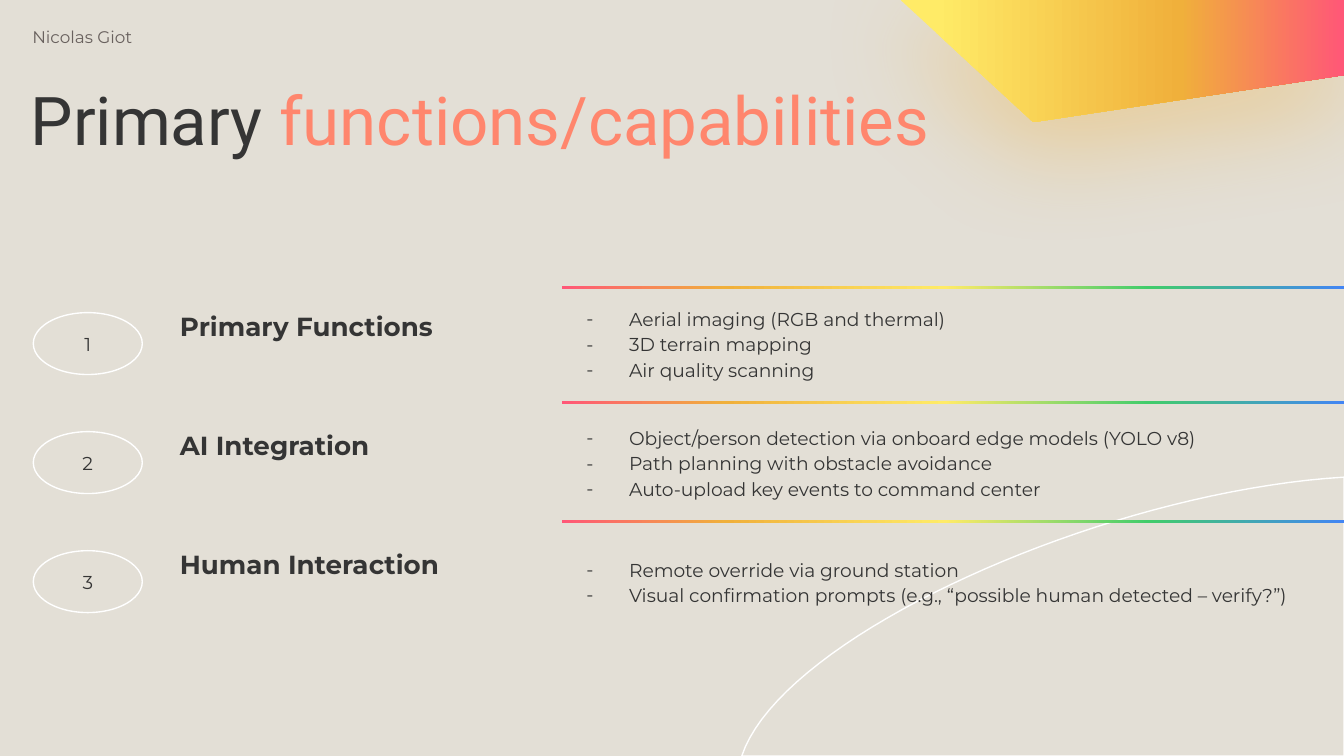
from dataclasses import dataclass
from lxml.etree import SubElement
from pptx import Presentation
from pptx.dml.color import RGBColor
from pptx.enum.shapes import MSO_SHAPE
from pptx.enum.text import MSO_ANCHOR, MSO_AUTO_SIZE, PP_ALIGN
from pptx.oxml.ns import qn
from pptx.util import Cm, Pt


@dataclass(frozen=True)
class Theme:
    paper: str = "E3DFD6"
    ink: str = "353535"
    muted: str = "69615E"
    accent: str = "FF866D"
    white: str = "FFFFFF"
    glow: str = "F0B03B"
    rainbow: tuple = ((0, "FF5777"), (21, "F0B03B"), (49, "FFEB67"),
                      (75, "41CC6B"), (100, "4285F4"))
    sunset: tuple = ((0, "FFEB67"), (8, "FFEB67"), (63, "F0B03B"), (100, "FF5777"))
    display_font: str = "Roboto"
    text_font: str = "Montserrat"
    title_size: int = 36
    heading_size: int = 14
    list_size: int = 10
    author_size: int = 9


theme = Theme()


def fill_gradient(shape, stops):
    """Fill the shape from left to right with (percent, colour) stops, without outline."""
    shape.shadow.inherit = False
    shape.line.fill.background()
    shape.fill.gradient()
    shape.fill.gradient_angle = 0
    stop_list = shape.element.spPr.find(".//" + qn("a:gsLst"))
    for old_stop in list(stop_list):
        stop_list.remove(old_stop)
    for percent, colour in stops:
        stop = SubElement(stop_list, qn("a:gs"), pos=str(percent * 1000))
        SubElement(stop, qn("a:srgbClr"), val=colour)


def write(para, text, size, colour=theme.ink, font=theme.text_font, bold=False):
    span = para.add_run()
    span.text = text
    span.font.name = font
    span.font.size = Pt(size)
    span.font.bold = bold
    span.font.color.rgb = RGBColor.from_string(colour)


deck = Presentation()
deck.slide_width, deck.slide_height = Cm(25.4), Cm(14.29)
page = deck.slides.add_slide(deck.slide_layouts.get_by_name("Comparison"))
page.background.fill.solid()
page.background.fill.fore_color.rgb = RGBColor.from_string(theme.paper)
title, *lists, author = page.placeholders

# Large arc in the lower right corner, sampled from a Bézier curve
controls = ((25.4, 9.02), (20.83, 9.3), (14.78, 12.01), (14.02, 14.29))
steps = 40
arc_points = []
for step in range(steps + 1):
    t = step / steps
    weights = ((1 - t) ** 3, 3 * t * (1 - t) ** 2, 3 * t ** 2 * (1 - t), t ** 3)
    arc_points.append([Cm(sum(w * c[axis] for w, c in zip(weights, controls)))
                       for axis in (0, 1)])
arc_points.append((deck.slide_width, deck.slide_height))
builder = page.shapes.build_freeform(*arc_points[0])
builder.add_line_segments(arc_points[1:], close=True)
arc = builder.convert_to_shape()
arc.shadow.inherit = False
arc.fill.background()
arc.line.color.rgb = RGBColor.from_string(theme.white)
arc.line.width = Pt(0.75)

# Glowing wedge in the upper right corner
builder = page.shapes.build_freeform(Cm(17.02), 0)
builder.add_line_segments([(Cm(19.53), Cm(2.31)), (Cm(25.4), Cm(1.42)), (Cm(25.4), 0)])
wedge = builder.convert_to_shape()
fill_gradient(wedge, theme.sunset)
glow = SubElement(wedge.element.spPr.find(qn("a:effectLst")), qn("a:outerShdw"),
                  blurRad=str(Pt(55.1)), dist=str(Pt(17.2)), dir=str(95 * 60000),
                  algn="bl", rotWithShape="0")
glow_colour = SubElement(glow, qn("a:srgbClr"), val=theme.glow)
SubElement(glow_colour, qn("a:alpha"), val="40000")

# Title and author
title.left, title.top, title.width, title.height = Cm(0.33), Cm(1.4), Cm(17.88), Cm(1.9)
author.left, author.top, author.width, author.height = Cm(0.1), Cm(0.25), Cm(4.4), Cm(0.53)
for box, left_margin in ((title, 0.25), (author, 0.51)):
    frame = box.text_frame
    frame.auto_size = MSO_AUTO_SIZE.NONE
    frame.vertical_anchor = MSO_ANCHOR.TOP
    frame.margin_left = Cm(left_margin)
    frame.margin_top = frame.margin_right = frame.margin_bottom = Cm(0.25)
    para = frame.paragraphs[0]
    para.alignment = PP_ALIGN.LEFT
    para.space_before = Pt(0)
    properties = para._p.get_or_add_pPr()
    properties.set("marL", "0")
    properties.set("indent", "0")
    SubElement(properties, qn("a:buNone"))
title_para = title.text_frame.paragraphs[0]
title_para.line_spacing = 0.9
write(title_para, "Primary ", theme.title_size, font=theme.display_font)
write(title_para, "functions/capabilities", theme.title_size, theme.accent, theme.display_font)
write(author.text_frame.paragraphs[0], "Nicolas Giot", theme.author_size, theme.muted)

# Rows: heading, top of the rule, list width, list items
rows = (
    ("Primary Functions", 5.41, 9.3,
     ("Aerial imaging (RGB and thermal)", "3D terrain mapping", "Air quality scanning")),
    ("AI Integration", 7.59, 14.15,
     ("Object/person detection via onboard edge models (YOLO v8)",
      "Path planning with obstacle avoidance",
      "Auto-upload key events to command center")),
    ("Human Interaction", 9.83, 14.78,
     ("Remote override via ground station",
      "Visual confirmation prompts (e.g., “possible human detected – verify?”)")),
)
first_row, row_pitch, row_height, list_left = 5.53, 2.25, 1.9, 10.62

for index, (heading, rule_top, list_width, items) in enumerate(rows):
    row_top = first_row + index * row_pitch

    rule = page.shapes.add_shape(MSO_SHAPE.RECTANGLE, Cm(list_left), Cm(rule_top),
                                 Cm(14.78), Cm(0.05))
    fill_gradient(rule, theme.rainbow)

    badge = page.shapes.add_shape(MSO_SHAPE.OVAL, Cm(0.63), Cm(row_top + 0.38),
                                  Cm(2.06), Cm(1.17))
    badge.shadow.inherit = False
    badge.fill.background()
    badge.line.color.rgb = RGBColor.from_string(theme.white)
    badge.line.width = Pt(0.75)
    frame = badge.text_frame
    frame.margin_left = frame.margin_right = frame.margin_top = frame.margin_bottom = 0
    frame.vertical_anchor = MSO_ANCHOR.MIDDLE
    frame.paragraphs[0].alignment = PP_ALIGN.CENTER
    write(frame.paragraphs[0], str(index + 1), theme.list_size)

    heading_box = page.shapes.add_textbox(Cm(3.15), Cm(row_top), Cm(5.61), Cm(row_height))
    frame = heading_box.text_frame
    frame.word_wrap = True
    frame.margin_left = frame.margin_right = frame.margin_top = frame.margin_bottom = Cm(0.25)
    frame.paragraphs[0].line_spacing = 1.15
    write(frame.paragraphs[0], heading, theme.heading_size, bold=True)

    box = lists[index]
    box.left, box.top = Cm(list_left), Cm(row_top)
    box.width, box.height = Cm(list_width), Cm(row_height)
    frame = box.text_frame
    frame.auto_size = MSO_AUTO_SIZE.NONE
    frame.vertical_anchor = MSO_ANCHOR.MIDDLE
    frame.margin_left = 0
    frame.margin_top = frame.margin_right = frame.margin_bottom = Cm(0.25)
    for number, item in enumerate(items):
        para = frame.add_paragraph() if number else frame.paragraphs[0]
        para.line_spacing = 1.15
        para.space_before = Pt(0)
        properties = para._p.get_or_add_pPr()
        properties.set("marL", str(Cm(1.27)))
        properties.set("indent", str(Cm(-0.81)))
        bullet_colour = SubElement(properties, qn("a:buClr"))
        SubElement(bullet_colour, qn("a:srgbClr"), val=theme.ink)
        SubElement(properties, qn("a:buFont"), typeface=theme.text_font)
        SubElement(properties, qn("a:buChar"), char="-")
        write(para, item, theme.list_size)

# Bring the placeholders in front of the decoration
for box in (title, *lists, author):
    page.shapes.element.append(box.element)

deck.save("out.pptx")
